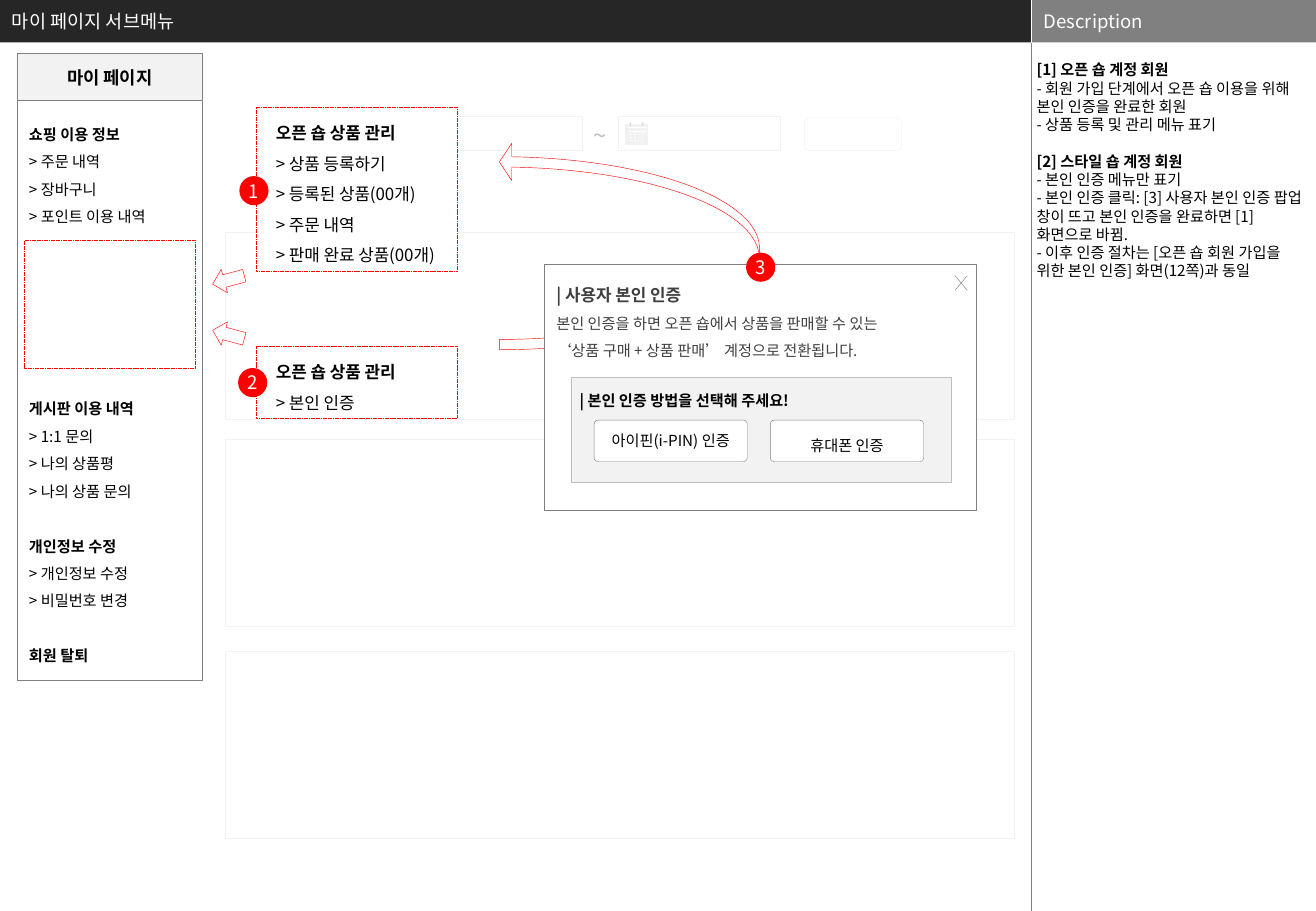
"""Draw the storyboard slide for the sub-menu of the My Page screen."""
from dataclasses import dataclass
from typing import Optional

import pptx
import pptx.dml.color
import pptx.enum.dml
import pptx.enum.shapes
import pptx.enum.text
import pptx.oxml
import pptx.oxml.ns
import pptx.util
from lxml import etree

KIND = pptx.enum.shapes.MSO_SHAPE
ALIGN = pptx.enum.text.PP_ALIGN
ANCHOR = pptx.enum.text.MSO_ANCHOR

CELL = pptx.util.Inches(0.1)
COLUMNS, ROWS = 108.3, 75
SIDE = 84.9
HEADER = 3.5


@dataclass(frozen=True)
class Theme:
    """Colours and type sizes."""
    font: str = "Noto Sans CJK KR"
    white: str = "FFFFFF"
    black: str = "000000"
    dark: str = "262626"
    charcoal: str = "404040"
    grey: str = "808080"
    silver: str = "BFBFBF"
    calendar: str = "D9D9D9"
    pale: str = "F2F2F2"
    red: str = "FF0000"
    body: float = 9
    menu: float = 10
    menu_title: float = 10.5
    header: float = 11
    tilde: float = 14
    hairline: float = 0.25
    outline: float = 0.5


THEME = Theme()


@dataclass(frozen=True)
class Section:
    """A bold heading with its plain items; gap is the space before, in points."""
    heading: str = ""
    items: tuple[str, ...] = ()
    gap: float = 0


@dataclass(frozen=True)
class Wording:
    """Sections of text and how they are set."""
    sections: tuple[Section, ...]
    size: float = THEME.body
    heading_size: Optional[float] = None
    colour: str = THEME.black
    spacing: Optional[float] = None
    align: ALIGN = ALIGN.LEFT
    anchor: ANCHOR = ANCHOR.MIDDLE
    insets: tuple[float, float, float, float] = (1, 0.5, 1, 0.5)
    wrap: bool = True


@dataclass(frozen=True)
class Panel:
    """A preset shape placed in columns and rows."""
    left: float
    top: float
    width: float
    height: float
    fill: Optional[str] = None
    line: Optional[str] = None
    weight: float = THEME.hairline
    dashed: bool = False
    kind: KIND = KIND.RECTANGLE
    adjust: tuple[float, ...] = ()
    turn: float = 0
    flip: bool = False
    wording: Optional[Wording] = None


def cells(count: float) -> int:
    """Convert grid cells to a length."""
    return round(count * CELL)


def rgb(colour: str) -> pptx.dml.color.RGBColor:
    """Convert a hex colour."""
    return pptx.dml.color.RGBColor.from_string(colour)


def write(frame, wording: Wording) -> None:
    """Fill a text frame."""
    frame.word_wrap = wording.wrap
    frame.vertical_anchor = wording.anchor
    frame.margin_left, frame.margin_top, frame.margin_right, frame.margin_bottom = map(cells, wording.insets)
    lines = []
    for section in wording.sections:
        texts = ([(section.heading, True)] if section.heading else []) + [(item, False) for item in section.items]
        lines += [(text, bold, 0 if index else section.gap) for index, (text, bold) in enumerate(texts)]
    for index, (text, bold, gap) in enumerate(lines):
        paragraph = frame.add_paragraph() if index else frame.paragraphs[0]
        paragraph.text = text
        paragraph.alignment = wording.align
        if wording.spacing:
            paragraph.line_spacing = wording.spacing
        if gap:
            paragraph.space_before = pptx.util.Pt(gap)
        font = paragraph.font
        font.size = pptx.util.Pt(wording.heading_size if bold and wording.heading_size else wording.size)
        font.bold = bold
        font.color.rgb = rgb(wording.colour)
        font.name = THEME.font
        defaults = paragraph._p.pPr.find(pptx.oxml.ns.qn("a:defRPr"))
        etree.SubElement(defaults, pptx.oxml.ns.qn("a:ea")).set("typeface", THEME.font)


def draw_panel(slide, panel: Panel) -> None:
    """Draw one panel with its text."""
    place = map(cells, (panel.left, panel.top, panel.width, panel.height))
    if panel.fill or panel.line:
        shape = slide.shapes.add_shape(panel.kind, *place)
        shape.shadow.inherit = False
        for index, value in enumerate(panel.adjust):
            shape.adjustments[index] = value
        shape.rotation = panel.turn
        if panel.flip:
            shape._element.spPr.xfrm.set("flipV", "1")
        paint(shape, panel.fill, panel.line, panel.weight)
        if panel.dashed:
            shape.line.dash_style = pptx.enum.dml.MSO_LINE.SQUARE_DOT
    else:
        shape = slide.shapes.add_textbox(*place)
    if panel.wording:
        write(shape.text_frame, panel.wording)


def paint(shape, fill: Optional[str], line: Optional[str], weight: float) -> None:
    """Set fill and outline."""
    if fill:
        shape.fill.solid()
        shape.fill.fore_color.rgb = rgb(fill)
    else:
        shape.fill.background()
    if line:
        shape.line.color.rgb = rgb(line)
        shape.line.width = pptx.util.Pt(weight)
    else:
        shape.line.fill.background()


def draw_rule(slide, start: tuple[float, float], end: tuple[float, float], colour: str) -> None:
    """Draw a straight hairline."""
    rule = slide.shapes.add_connector(pptx.enum.shapes.MSO_CONNECTOR.STRAIGHT, *map(cells, start + end))
    rule.line.color.rgb = rgb(colour)
    rule.line.width = pptx.util.Pt(THEME.hairline)
    etree.SubElement(rule._element.spPr, pptx.oxml.ns.qn("a:effectLst"))


def box(left: float, top: float, width: float, height: float) -> list[tuple[float, float]]:
    """List the corners of a rectangle."""
    return [(left, top), (left + width, top), (left + width, top + height), (left, top + height)]


def draw_calendar(slide) -> None:
    """Draw the calendar icon as one outline with openings."""
    frame = [(51.5, 10.3), (51.8, 10.3), (51.8, 10.1), (52, 10.1), (52, 10.3), (52.8, 10.3), (52.8, 10.1),
             (53, 10.1), (53, 10.3), (53.3, 10.3), (53.3, 11.9), (51.5, 11.9)]
    days = [box(51.8 + 0.32 * day, 11 + 0.25 * week, 0.24, 0.15) for week in range(3) for day in range(4)]
    contours = [frame, box(51.6, 10.4, 1.6, 0.2), box(51.6, 10.7, 1.6, 1.1), box(51.7, 10.9, 1.4, 0.8), *days]
    scaled = [[(100 * x, 100 * y) for x, y in contour] for contour in contours]
    builder = slide.shapes.build_freeform(*scaled[0][0], scale=CELL / 100)
    for index, contour in enumerate(scaled):
        if index:
            builder.move_to(*contour[0])
        builder.add_line_segments(contour[1:], close=True)
    icon = builder.convert_to_shape()
    icon.shadow.inherit = False
    paint(icon, THEME.calendar, THEME.pale, 0.75)


def plain(text: str, size: float, colour: str = THEME.black, **layout) -> Wording:
    """Set a single plain line."""
    return Wording((Section(items=(text,)),), size, colour=colour, **layout)


def badge(number: int, left: float, top: float) -> Panel:
    """Describe a numbered red marker."""
    return Panel(left, top, 2.4, 2.4, THEME.red, kind=KIND.OVAL, wording=plain(
        str(number), THEME.header, THEME.white, align=ALIGN.CENTER, insets=(0, 0, 0, 0), wrap=False))


def shop_menu(top: float, height: float, *items: str) -> Panel:
    """Describe one state of the open-shop menu."""
    return Panel(21.1, top, 16.5, height, THEME.white, THEME.red, dashed=True, wording=Wording(
        (Section("오픈 숍 상품 관리", items),), THEME.menu, spacing=1.5, insets=(1.6, 0.8, 1.6, 0.8), wrap=False))


def small_arrow(top: float, turn: float, flip: bool) -> Panel:
    """Describe an arrow from a menu state to its slot."""
    return Panel(17.8, top, 2, 2.7, line=THEME.red, kind=KIND.DOWN_ARROW, adjust=(0.53, 0.5), turn=turn, flip=flip)


def method(left: float, text: str, spacing: Optional[float] = None) -> Panel:
    """Describe a verification button."""
    return Panel(left, 34.6, 12.6, 3.4, THEME.white, THEME.grey, kind=KIND.ROUNDED_RECTANGLE, adjust=(0.09,),
                 wording=plain(text, THEME.body, align=ALIGN.CENTER, spacing=spacing))


NOTES = Wording((
    Section("[1] 오픈 숍 계정 회원", ("- 회원 가입 단계에서 오픈 숍 이용을 위해 본인 인증을 완료한 회원", "- 상품 등록 및 관리 메뉴 표기")),
    Section("[2] 스타일 숍 계정 회원", (
        "- 본인 인증 메뉴만 표기",
        "- 본인 인증 클릭: [3] 사용자 본인 인증 팝업 창이 뜨고 본인 인증을 완료하면 [1] 화면으로 바뀜.",
        "- 이후 인증 절차는 [오픈 숍 회원 가입을 위한 본인 인증] 화면(12쪽)과 동일"), 10.9),
), anchor=ANCHOR.TOP, insets=(0.4, 0, 0.4, 0))
MY_MENU = Wording((
    Section("쇼핑 이용 정보", ("> 주문 내역", "> 장바구니", "> 포인트 이용 내역")),
    Section("게시판 이용 내역", ("> 1:1 문의", "> 나의 상품평", "> 나의 상품 문의"), 97.8),
    Section("개인정보 수정", ("> 개인정보 수정", "> 비밀번호 변경"), 16.3),
    Section("회원 탈퇴", gap=16.3)), spacing=1.5)
POPUP = Wording((Section("| 사용자 본인 인증", (
    "본인 인증을 하면 오픈 숍에서 상품을 판매할 수 있는", "‘상품 구매 + 상품 판매’ 계정으로 전환됩니다.")),),
    heading_size=THEME.menu, colour=THEME.charcoal, spacing=1.5, anchor=ANCHOR.TOP, insets=(1, 0.8, 0, 0))
CHOICE = Wording((Section("| 본인 인증 방법을 선택해 주세요!"),), spacing=1.5, anchor=ANCHOR.TOP, insets=(0.7, 0.4, 0, 0))

HEADERS = (
    Panel(0, 0, SIDE, HEADER, THEME.dark, wording=plain("마이 페이지 서브메뉴", THEME.header, THEME.white)),
    Panel(SIDE, 0, COLUMNS - SIDE, HEADER, THEME.grey, wording=plain("Description", THEME.header, THEME.white)))
SCREEN = (
    Panel(SIDE, 5, COLUMNS - SIDE, 70, wording=NOTES),
    Panel(1.4, 8.3, 15.3, 47.7, line=THEME.grey, weight=THEME.outline, wording=MY_MENU),
    Panel(1.4, 4.4, 15.3, 3.9, THEME.pale, THEME.grey, THEME.outline, wording=Wording(
        (Section("마이 페이지"),), THEME.menu_title, align=ALIGN.CENTER)),
    Panel(2, 19.8, 14.1, 10.5, line=THEME.red, dashed=True),
    *(Panel(18.5, top, 65, 15.4, line=THEME.pale) for top in (19.1, 36.2, 53.6)),
    *(Panel(left, 9.6, 13.3, 2.8, THEME.white, THEME.pale) for left in (34.6, 50.9)),
    Panel(66.2, 9.7, 8, 2.7, THEME.white, THEME.pale, kind=KIND.ROUNDED_RECTANGLE),
    Panel(47.9, 9.5, 3.4, 3.4, wording=plain("~", THEME.tilde, THEME.silver, anchor=ANCHOR.TOP, wrap=False)))
FLOW = (
    shop_menu(8.8, 13.5, "> 상품 등록하기", "> 등록된 상품(00개)", "> 주문 내역", "> 판매 완료 상품(00개)"),
    shop_menu(28.5, 5.9, "> 본인 인증"),
    badge(1, 19.7, 14.5), badge(2, 19.6, 30.3),
    small_arrow(21.7, 75, False), small_arrow(26.2, 285, True),
    Panel(41.1, 11.8, 21.4, 17, line=THEME.red, kind=KIND.CURVED_LEFT_ARROW, adjust=(0.05, 0.18, 0.06), flip=True),
    Panel(44.8, 21.8, 35.6, 20.2, THEME.white, THEME.grey, THEME.outline, wording=POPUP),
    Panel(47, 31.1, 31.3, 8.6, THEME.pale, THEME.silver, wording=CHOICE),
    method(48.9, "아이핀(i-PIN) 인증"), method(63.4, "휴대폰 인증", 1.5),
    badge(3, 61.4, 20.8))


def main() -> None:
    """Build and save the slide."""
    deck = pptx.Presentation()
    deck.slide_width, deck.slide_height = cells(COLUMNS), cells(ROWS)
    slide = deck.slides.add_slide(deck.slide_layouts[6])
    for panel in HEADERS:
        draw_panel(slide, panel)
    draw_rule(slide, (SIDE, 0), (SIDE, HEADER), THEME.white)
    draw_rule(slide, (SIDE, HEADER), (SIDE, ROWS), THEME.grey)
    for panel in SCREEN:
        draw_panel(slide, panel)
    draw_calendar(slide)
    for panel in FLOW:
        draw_panel(slide, panel)
    for start, end in ((22.7, 23.9), (23.9, 22.7)):
        draw_rule(slide, (78.6, start), (79.6, end), THEME.grey)
    deck.save("out.pptx")


if __name__ == "__main__":
    main()
